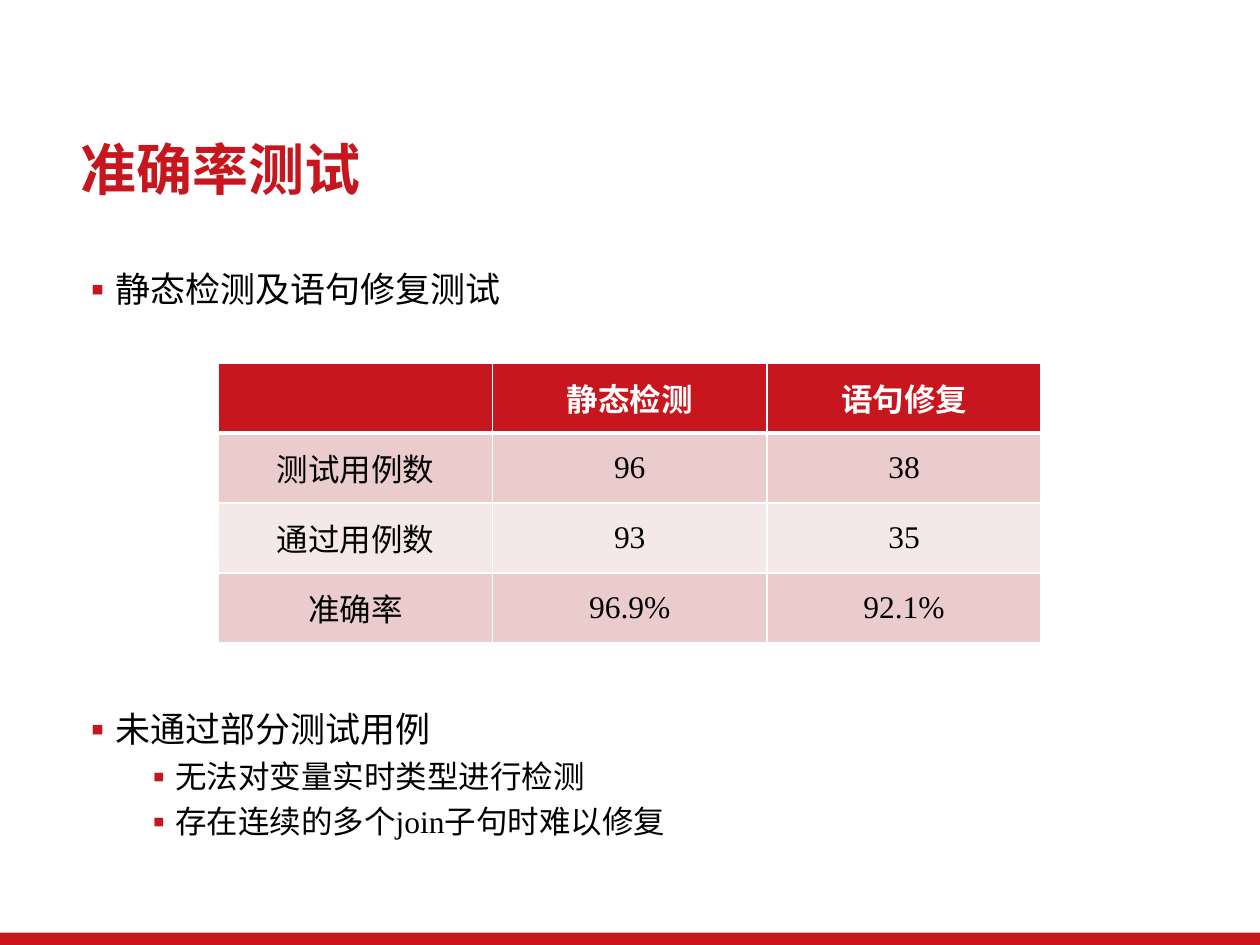
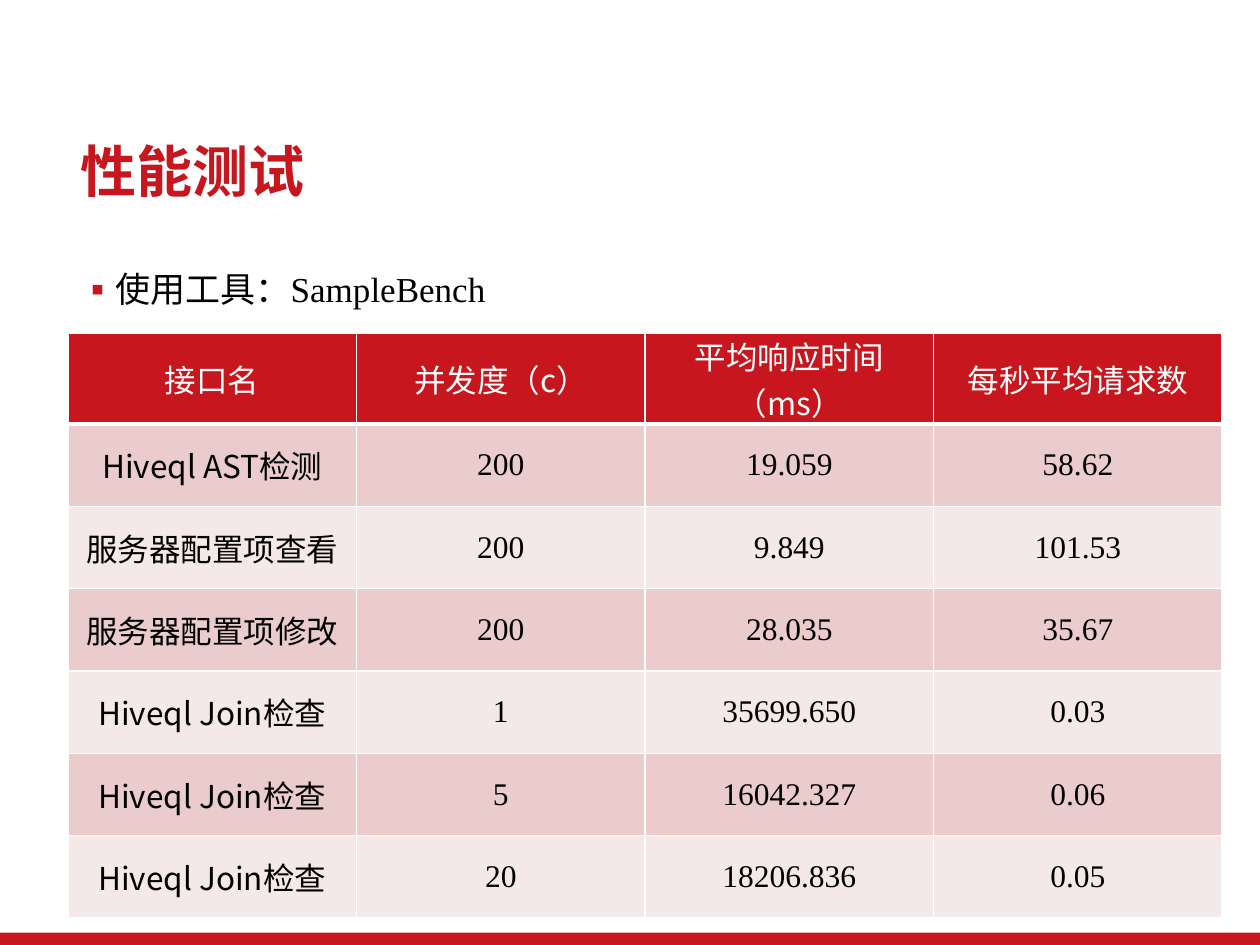
from dataclasses import dataclass

from lxml.etree import SubElement
from pptx import Presentation
from pptx.dml.color import RGBColor
from pptx.enum.shapes import MSO_SHAPE
from pptx.enum.text import MSO_ANCHOR, MSO_AUTO_SIZE, PP_ALIGN
from pptx.oxml.ns import qn
from pptx.util import Cm, Pt


@dataclass(frozen=True)
class Theme:
    red: str = "C8161E"
    band: str = "C9151E"
    white: str = "FFFFFF"
    black: str = "000000"
    row_tints: tuple = ("EBCCCD", "F5E8E8")
    sans: str = "Noto Sans CJK SC"
    serif: str = "Times New Roman"
    title_size: int = 32
    list_sizes: tuple = (20, 18)
    table_size: int = 18
    left: float = 1.37
    width: float = 23.27


theme = Theme()


def add_span(para, text, size, color, font, bold=False):
    span = para.add_run()
    span.text = text
    span.font.size = Pt(size)
    span.font.bold = bold
    span.font.color.rgb = RGBColor.from_string(color)
    span.font.name = font
    SubElement(span._r.get_or_add_rPr(), qn("a:ea"), typeface=theme.sans)


def add_border(cell, side, points):
    line = SubElement(cell._tc.get_or_add_tcPr(), qn(f"a:ln{side}"), w=str(Pt(points)))
    fill = SubElement(line, qn("a:solidFill"))
    SubElement(fill, qn("a:srgbClr"), val=theme.white)


# Content: lists hold (level, [(text, font), ...]); lengths are centimetres
slides = [
    {
        "title": "准确率测试",
        "lists": [
            {"top": 5.1, "height": 1.6, "spacing": 1.2, "items": [
                (0, [("静态检测", theme.sans), ("及语句修复测试", theme.serif)]),
            ]},
            {"top": 14.15, "height": 3.2, "spacing": 1.1, "items": [
                (0, [("未通过部分测试用例", theme.sans)]),
                (1, [("无法对变量实时类型进行检测", theme.serif)]),
                (1, [("存在连续的多个join子句时难以修复", theme.serif)]),
            ]},
        ],
        "table": {
            "left": 4.4, "top": 7.32, "width": 16.59, "row_height": 1.41,
            "margins": (0.25, 0.13), "bold_header": True,
            "rows": [
                ("", "静态检测", "语句修复"),
                ("测试用例数", "96", "38"),
                ("通过用例数", "93", "35"),
                ("准确率", "96.9%", "92.1%"),
            ],
        },
    },
    {
        "title": "性能测试",
        "lists": [
            {"top": 5.1, "height": 1.6, "spacing": 1.2, "items": [
                (0, [("使用工具：SampleBench", theme.serif)]),
            ]},
        ],
        "table": {
            "left": theme.left, "top": 6.71, "width": theme.width, "row_height": 1.66,
            "margins": (0.18, 0), "bold_header": False,
            "rows": [
                ("接口名", "并发度（c）", "平均响应时间（ms）", "每秒平均请求数"),
                ("Hiveql AST检测", "200", "19.059", "58.62"),
                ("服务器配置项查看", "200", "9.849", "101.53"),
                ("服务器配置项修改", "200", "28.035", "35.67"),
                ("Hiveql Join检查", "1", "35699.650", "0.03"),
                ("Hiveql Join检查", "5", "16042.327", "0.06"),
                ("Hiveql Join检查", "20", "18206.836", "0.05"),
            ],
        },
    },
]

deck = Presentation()
deck.slide_width, deck.slide_height = Cm(25.4), Cm(19.05)

for content in slides:
    page = deck.slides.add_slide(deck.slide_layouts[5])

    # Bottom band
    band = page.shapes.add_shape(MSO_SHAPE.RECTANGLE, 0, Cm(18.8), Cm(25.4), Cm(0.25))
    band.shadow.inherit = False
    band.fill.solid()
    band.fill.fore_color.rgb = RGBColor.from_string(theme.band)
    band.line.fill.background()

    # Title
    title = page.shapes.title
    title.left, title.top = Cm(theme.left), Cm(2.72)
    title.width, title.height = Cm(theme.width), Cm(1.6)
    title.text_frame.vertical_anchor = MSO_ANCHOR.MIDDLE
    title.text_frame.auto_size = MSO_AUTO_SIZE.TEXT_TO_FIT_SHAPE
    para = title.text_frame.paragraphs[0]
    para.alignment = PP_ALIGN.LEFT
    para.line_spacing = 0.9
    add_span(para, content["title"], theme.title_size, theme.red, theme.sans, bold=True)

    # Bulleted lists
    for block in content["lists"]:
        box = page.shapes.add_textbox(Cm(theme.left), Cm(block["top"]),
                                      Cm(theme.width), Cm(block["height"]))
        frame = box.text_frame
        frame.word_wrap = True
        frame.auto_size = MSO_AUTO_SIZE.TEXT_TO_FIT_SHAPE
        for index, (level, spans) in enumerate(block["items"]):
            para = frame.add_paragraph() if index else frame.paragraphs[0]
            para.level = level
            para.line_spacing = block["spacing"]
            para.space_before = Pt((10, 5)[level])
            properties = para._p.get_or_add_pPr()
            properties.set("marL", str(Cm(0.64 + 1.27 * level)))
            properties.set("indent", str(Cm(-0.64)))
            bullet_color = SubElement(properties, qn("a:buClr"))
            SubElement(bullet_color, qn("a:srgbClr"), val=theme.red)
            SubElement(properties, qn("a:buFont"), typeface=theme.sans)
            SubElement(properties, qn("a:buChar"), char="▪")
            for text, font in spans:
                add_span(para, text, theme.list_sizes[level], theme.black, font)

    # Results table
    plan = content["table"]
    rows = plan["rows"]
    table = page.shapes.add_table(len(rows), len(rows[0]), Cm(plan["left"]), Cm(plan["top"]),
                                  Cm(plan["width"]), Cm(plan["row_height"] * len(rows))).table
    table.first_row = table.horz_banding = False
    for row_index, row in enumerate(rows):
        header = row_index == 0
        for column_index, text in enumerate(row):
            cell = table.cell(row_index, column_index)
            cell.vertical_anchor = MSO_ANCHOR.MIDDLE
            cell.margin_left = cell.margin_right = Cm(plan["margins"][0])
            cell.margin_top = cell.margin_bottom = Cm(plan["margins"][1])
            add_border(cell, "L", 1)
            add_border(cell, "R", 1)
            add_border(cell, "T", 3 if row_index == 1 else 1)
            add_border(cell, "B", 3 if header else 1)
            cell.fill.solid()
            tint = theme.red if header else theme.row_tints[(row_index - 1) % 2]
            cell.fill.fore_color.rgb = RGBColor.from_string(tint)
            para = cell.text_frame.paragraphs[0]
            para.alignment = PP_ALIGN.CENTER
            if text:
                add_span(para, text, theme.table_size,
                         theme.white if header else theme.black,
                         theme.sans if header or column_index == 0 else theme.serif,
                         bold=header and plan["bold_header"])

deck.save("out.pptx")
